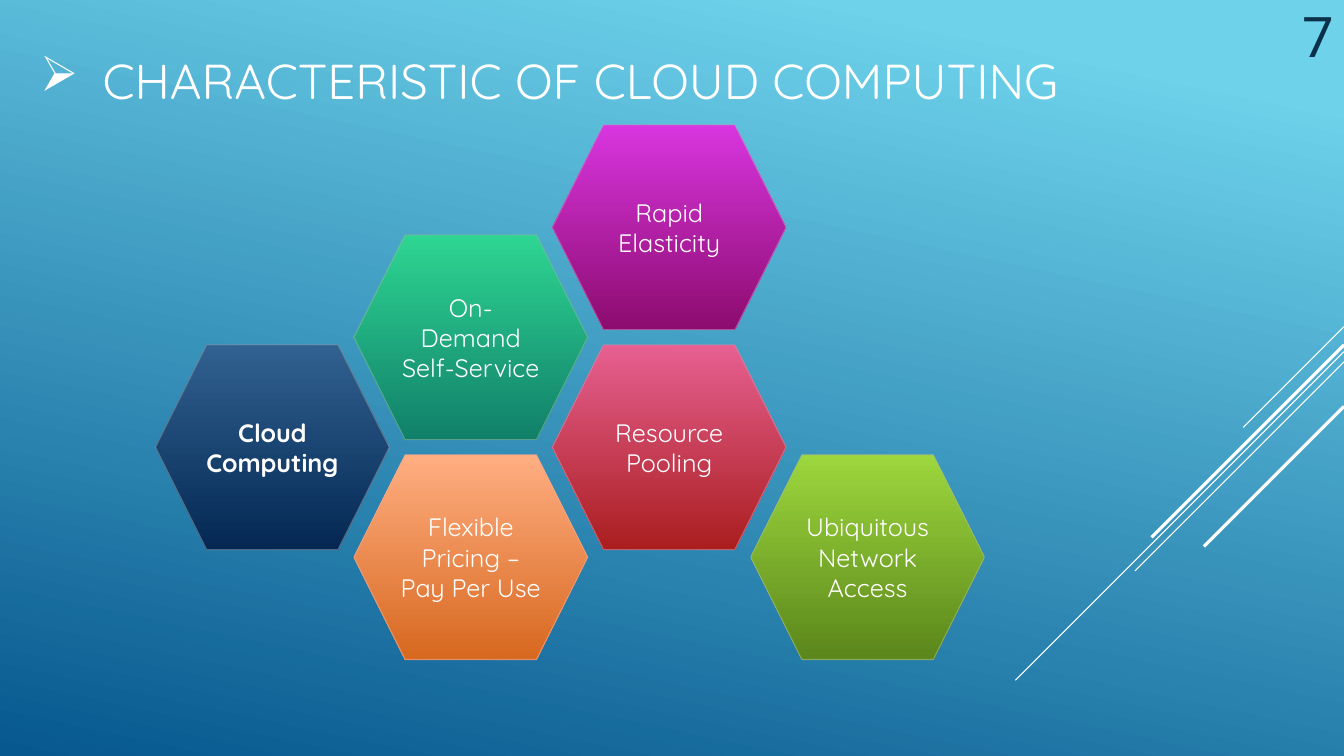
import pptx
import pptx.dml.color
import pptx.enum.shapes
import pptx.enum.text
import pptx.oxml
import pptx.oxml.ns
import pptx.util
from lxml import etree

Cm = pptx.util.Cm
Pt = pptx.util.Pt
ALIGN = pptx.enum.text.PP_ALIGN
ANCHOR = pptx.enum.text.MSO_ANCHOR
WIDTH, HEIGHT = 33.87, 19.05
HEXAGON_WIDTH, HEXAGON_HEIGHT = 5.89, 5.16
FIRST_LEFT, FIRST_TOP = 3.92, 3.15
COLUMN_STEP, ROW_STEP = 5, 2.77

HEXAGONS = [
    (0, 2, "Cloud Computing", "316190", "042853", "89919C"),
    (1, 1, "On-Demand Self-Service", "2ED592", "11806A", "8AB7A1"),
    (1, 3, "Flexible Pricing – Pay Per Use", "FFAE82", "D7681F", "EEA78F"),
    (2, 2, "Resource Pooling", "E66091", "AA1E1F", "D68BA6"),
    (2, 0, "Rapid Elasticity", "D835DF", "8D0C6F", "C089BD"),
    (3, 3, "Ubiquitous\nNetwork\nAccess", "9DD63D", "5B871B", "A4BB8B"),
]
DIAGONALS = [
    (8.23, 2.54, 0.75),
    (8.86, 8.28, 0.75),
    (9.12, 5.27, 0.75),
    (8.69, 4.85, 2.25),
    (10.24, 3.53, 2.25),
]


def color(value):
    return pptx.dml.color.RGBColor.from_string(value)


def add_element(parent, tag, **attributes):
    return etree.SubElement(parent, pptx.oxml.ns.qn(tag), **attributes)


class SlideBuilder:
    """Holds the text style and the current slide, and adds its elements."""

    def __init__(self, slide):
        self.slide = slide
        self.style = {"name": "Quicksand", "size": Pt(18), "bold": False}
        self.text_color = "FFFFFF"

    def gradient(self, fill, start, end, angle, first_position=0):
        fill.gradient()
        fill.gradient_angle = 360 - angle
        for stop, value, position in zip(
            fill.gradient_stops, (start, end), (first_position, 1)
        ):
            stop.color.rgb = color(value)
            stop.position = position

    def set_text(self, shape, text, alignment, anchor, text_color=None, **changes):
        frame = shape.text_frame
        frame.text = text
        frame.word_wrap = True
        frame.auto_size = pptx.enum.text.MSO_AUTO_SIZE.NONE
        frame.vertical_anchor = anchor
        for paragraph in frame.paragraphs:
            paragraph.alignment = alignment
            for run in paragraph.runs:
                for name, value in {**self.style, **changes}.items():
                    setattr(run.font, name, value)
                run.font.color.rgb = color(text_color or self.text_color)

    def diagonal(self, top, length, width):
        line = self.slide.shapes.add_connector(
            pptx.enum.shapes.MSO_CONNECTOR.STRAIGHT,
            Cm(WIDTH), Cm(top), Cm(WIDTH - length), Cm(top + length),
        )
        line.line.color.rgb = color("FFFFFF")
        line.line.width = Pt(width)
        add_element(line.element.spPr, "a:effectLst")

    def title(self, text):
        title = self.slide.shapes.title
        box = {"left": 0.76, "top": 0.99, "width": 31.12, "height": 2.03}
        for name, value in box.items():
            setattr(title, name, Cm(value))
        self.set_text(title, text, ALIGN.LEFT, ANCHOR.MIDDLE, size=Pt(35))
        properties = title.element.xpath(".//a:pPr")[0]
        indent = Cm(1.57)
        properties.set("marL", str(indent))
        properties.set("indent", str(-indent))
        add_element(properties, "a:buChar", char="➢")

    def hexagon(self, column, row, text, start, end, outline):
        shape = self.slide.shapes.add_shape(
            pptx.enum.shapes.MSO_SHAPE.HEXAGON,
            Cm(FIRST_LEFT + column * COLUMN_STEP), Cm(FIRST_TOP + row * ROW_STEP),
            Cm(HEXAGON_WIDTH), Cm(HEXAGON_HEIGHT),
        )
        shape.shadow.inherit = False
        self.gradient(shape.fill, start, end, 90)
        shape.line.color.rgb = color(outline)
        shape.line.width = Pt(0.75)
        outline_color = shape.element.xpath(".//a:ln//a:srgbClr")[0]
        add_element(outline_color, "a:alpha", val="60000")
        self.set_text(shape, text, ALIGN.CENTER, ANCHOR.MIDDLE, bold=column == 0)

    def page_number(self, text):
        box = self.slide.shapes.add_textbox(Cm(30.68), 0, Cm(3.18), Cm(1.85))
        self.set_text(
            box, text, ALIGN.RIGHT, ANCHOR.BOTTOM, "0A304A",
            name="Roboto", size=Pt(40),
        )


def main():
    presentation = pptx.Presentation()
    presentation.slide_width = Cm(WIDTH)
    presentation.slide_height = Cm(HEIGHT)
    slide = presentation.slides.add_slide(presentation.slide_layouts[5])
    builder = SlideBuilder(slide)
    builder.gradient(slide.background.fill, "6ED2EB", "06588E", 102, 0.1)
    for diagonal in DIAGONALS:
        builder.diagonal(*diagonal)
    builder.title("CHARACTERISTIC OF CLOUD COMPUTING")
    for hexagon in HEXAGONS:
        builder.hexagon(*hexagon)
    builder.page_number("7")
    presentation.save("out.pptx")


if __name__ == "__main__":
    main()
